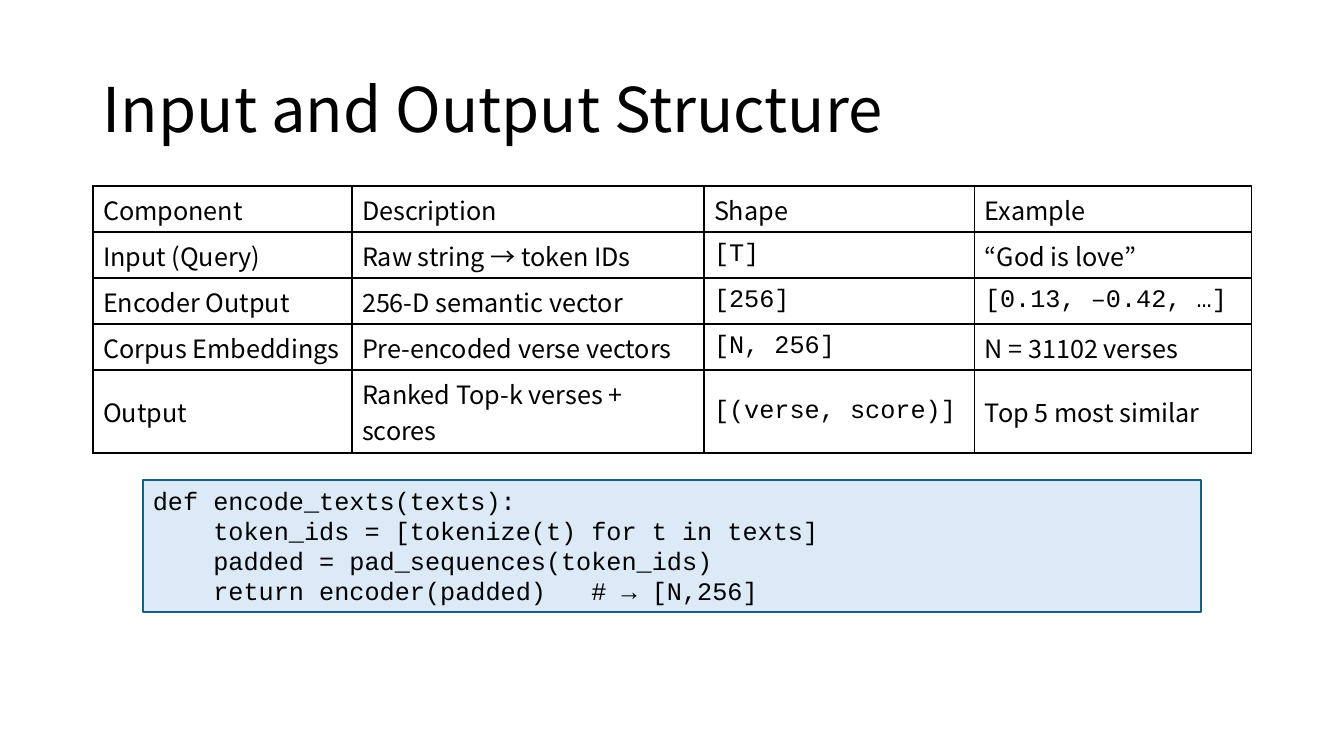
from dataclasses import dataclass

from lxml.etree import SubElement
from pptx import Presentation
from pptx.dml.color import RGBColor as RGB
from pptx.enum.shapes import MSO_SHAPE as Preset
from pptx.enum.text import MSO_ANCHOR as Anchor, MSO_AUTO_SIZE as AutoSize, PP_ALIGN as Align
from pptx.oxml.ns import qn
from pptx.util import Pt

SLIDE_WIDTH, SLIDE_HEIGHT = 1344, 756
EMU_PER_PX = 12192000 / SLIDE_WIDTH


@dataclass(frozen=True)
class Theme:
    """Colours, fonts and type sizes of the slide."""
    ink: str = "000000"
    code_fill: str = "DCEAF7"
    code_line: str = "156082"
    sans: str = "Noto Sans CJK JP"
    mono: str = "Courier New"
    title_size: int = 44
    body_size: int = 18
    border: int = 1
    code_border: float = 1.5


THEME = Theme()

COLUMN_WIDTHS = (259, 352, 271, 277)
ROW_HEIGHTS = (46, 46, 46, 46, 83)
COMPONENTS = (
    ("Component", "Description", "Shape", "Example"),
    ("Input (Query)", "Raw string → token IDs", "[T]", "“God is love”"),
    ("Encoder Output", "256-D semantic vector", "[256]", "[0.13, –0.42, …]"),
    ("Corpus Embeddings", "Pre-encoded verse vectors", "[N, 256]", "N = 31102 verses"),
    ("Output", "Ranked Top-k verses + scores", "[(verse, score)]", "Top 5 most similar"),
)
ENCODE_CODE = (
    "def encode_texts(texts):",
    "    token_ids = [tokenize(t) for t in texts]",
    "    padded = pad_sequences(token_ids)",
    "    return encoder(padded)   # → [N,256]",
)


def px(*lengths):
    """Turn pixel lengths into a list of EMU."""
    return [round(length * EMU_PER_PX) for length in lengths]


def write_lines(frame, lines, font_name, size):
    """Fill a text frame with left-aligned paragraphs in one font."""
    frame.text = "\n".join(lines)
    for line in frame.paragraphs:
        line.alignment = Align.LEFT
        line.font.name = font_name
        line.font.size = Pt(size)
        line.font.color.rgb = RGB.from_string(THEME.ink)


def add_title(slide, title, box):
    """Add the slide heading, centred vertically in its box."""
    frame = slide.shapes.add_textbox(*px(*box)).text_frame
    frame.word_wrap = True
    frame.vertical_anchor = Anchor.MIDDLE
    write_lines(frame, [title], THEME.sans, THEME.title_size)
    frame.paragraphs[0].line_spacing = 0.9


def outline_cell(cell):
    """Draw a thin border on all four sides of a cell."""
    properties = cell._tc.get_or_add_tcPr()
    for side in ("lnL", "lnR", "lnT", "lnB"):
        edge = SubElement(properties, qn(f"a:{side}"), w=str(Pt(THEME.border)))
        paint = SubElement(edge, qn("a:solidFill"))
        SubElement(paint, qn("a:srgbClr"), val=THEME.ink)


def add_component_table(slide, left, top):
    """Add the ruled table, with bracketed values in the code font."""
    size = sum(COLUMN_WIDTHS), sum(ROW_HEIGHTS)
    table = slide.shapes.add_table(
        len(COMPONENTS), len(COLUMN_WIDTHS), *px(left, top, *size)).table
    table.first_row = table.horz_banding = False
    for column, width in zip(table.columns, px(*COLUMN_WIDTHS)):
        column.width = width
    for row, height, entries in zip(table.rows, px(*ROW_HEIGHTS), COMPONENTS):
        row.height = height
        for cell, entry in zip(row.cells, entries):
            font_name = THEME.mono if entry.startswith("[") else THEME.sans
            write_lines(cell.text_frame, [entry], font_name, THEME.body_size)
            cell.vertical_anchor = Anchor.MIDDLE
            outline_cell(cell)
            cell.fill.background()


def add_code_panel(slide, code, box):
    """Add a bordered panel holding lines of code."""
    panel = slide.shapes.add_shape(Preset.RECTANGLE, *px(*box))
    panel.shadow.inherit = False
    panel.fill.solid()
    panel.fill.fore_color.rgb = RGB.from_string(THEME.code_fill)
    panel.line.color.rgb = RGB.from_string(THEME.code_line)
    panel.line.width = Pt(THEME.code_border)
    frame = panel.text_frame
    frame.word_wrap = True
    frame.auto_size = AutoSize.SHAPE_TO_FIT_TEXT
    frame.vertical_anchor = Anchor.TOP
    write_lines(frame, code, THEME.mono, THEME.body_size)


def main():
    """Build the slide and save it."""
    deck = Presentation()
    deck.slide_width, deck.slide_height = px(SLIDE_WIDTH, SLIDE_HEIGHT)
    slide = deck.slides.add_slide(deck.slide_layouts[6])
    add_title(slide, "Input and Output Structure", (93, 40, 1159, 146))
    add_component_table(slide, 93, 186)
    add_code_panel(slide, ENCODE_CODE, (143, 480, 1058, 132))
    deck.save("out.pptx")


if __name__ == "__main__":
    main()
